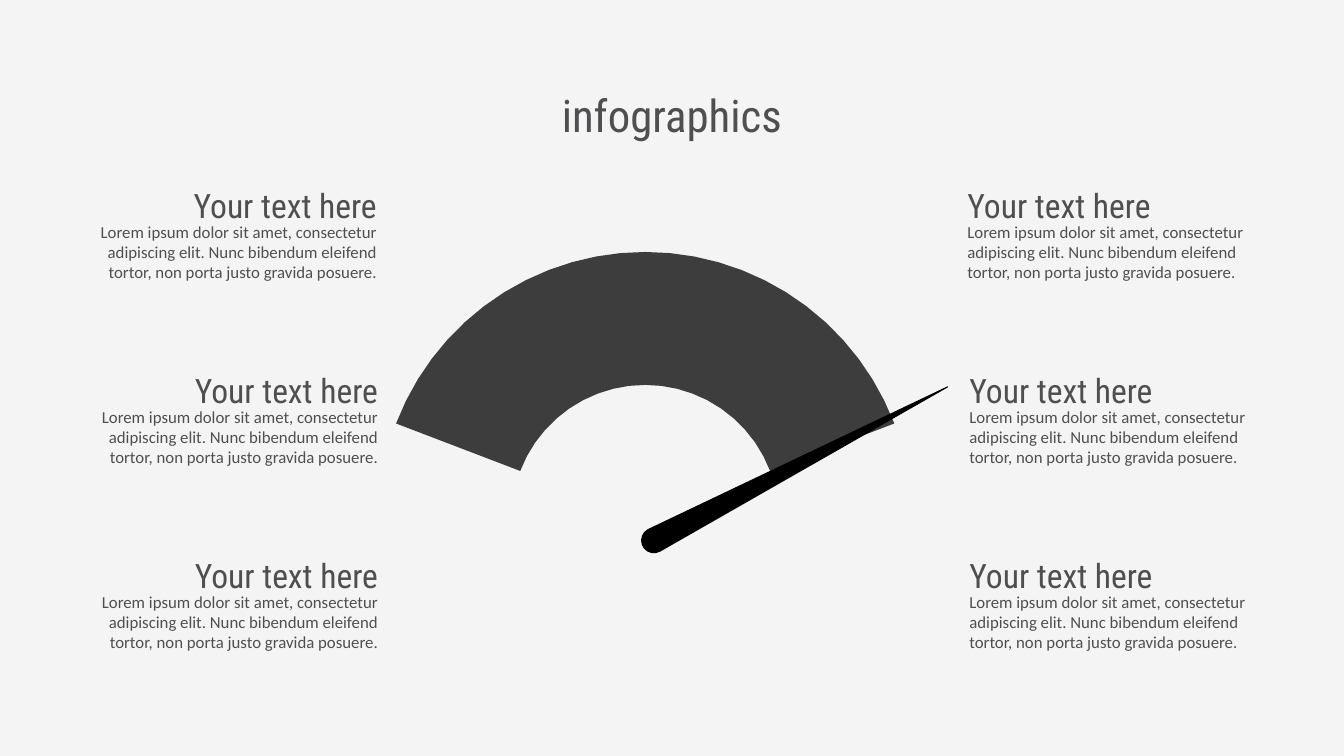
"""Build a gauge infographic slide with three text blocks on each side."""
import math
from dataclasses import dataclass

from pptx import Presentation
from pptx import util as u
from pptx.dml.color import RGBColor
from pptx.enum import text

INK = "4F4F52"
HEADING = "Your text here"
BODY = (
    "Lorem ipsum dolor sit amet, consectetur adipiscing elit. "
    "Nunc bibendum eleifend tortor, non porta justo gravida posuere."
)
FIRST_ROW_TOP = 4.53
ROW_PITCH = 4.66
BODY_DROP = 0.93
BLOCK_WIDTH = 8.15

Point = tuple[float, float]


@dataclass(frozen=True)
class Column:
    """Left edges of a column's rows, in centimetres, and its alignment."""
    lefts: tuple[float, float, float]
    alignment: text.PP_ALIGN


COLUMNS = (
    Column((24.13, 24.18, 24.18), text.PP_ALIGN.LEFT),
    Column((1.6, 1.63, 1.63), text.PP_ALIGN.RIGHT),
)


def colour(value: str) -> RGBColor:
    """Turn a hex string into a colour."""
    return RGBColor.from_string(value)


def place(shape, left: float, top: float, width: float, height: float) -> None:
    """Position and size a shape in centimetres."""
    shape.left, shape.top = u.Cm(left), u.Cm(top)
    shape.width, shape.height = u.Cm(width), u.Cm(height)


def write(shape, content: str, *, size: float, font: str,
          alignment: text.PP_ALIGN) -> None:
    """Fill a shape with one formatted paragraph."""
    frame = shape.text_frame
    frame.word_wrap = True
    frame.auto_size = text.MSO_AUTO_SIZE.SHAPE_TO_FIT_TEXT
    frame.vertical_anchor = text.MSO_ANCHOR.TOP
    paragraph = frame.paragraphs[0]
    paragraph.alignment = alignment
    run = paragraph.add_run()
    run.text = content
    run.font.size = u.Pt(size)
    run.font.name = font
    run.font.color.rgb = colour(INK)


def add_text(slide, content: str, left: float, top: float, height: float,
             **text_format) -> None:
    """Add a text box of the common block width."""
    box = slide.shapes.add_textbox(0, 0, 0, 0)
    place(box, left, top, BLOCK_WIDTH, height)
    write(box, content, **text_format)


def arc(centre: Point, radius: float, start: float, end: float,
        steps: int) -> list[Point]:
    """List points on an arc between two clockwise bearings in degrees."""
    bearings = (math.radians(start + (end - start) * step / steps)
                for step in range(steps + 1))
    return [(centre[0] + radius * math.sin(bearing),
             centre[1] - radius * math.cos(bearing)) for bearing in bearings]


def add_outline(slide, points: list[Point], fill: str):
    """Add a closed, filled freeform through points in centimetres."""
    corners = [(u.Cm(x), u.Cm(y)) for x, y in points]
    builder = slide.shapes.build_freeform(*corners[0], scale=1.0)
    builder.add_line_segments(corners[1:], close=True)
    shape = builder.convert_to_shape()
    shape.shadow.inherit = False
    shape.fill.solid()
    shape.fill.fore_color.rgb = colour(fill)
    shape.line.fill.background()
    return shape


def add_gauge(slide) -> None:
    """Draw the dial and its needle."""
    centre = (16.26, 13.07)
    dial = (arc(centre, 6.72, -69.1, 69.1, 26)
            + arc(centre, 3.37, 69.1, -69.1, 20))
    add_outline(slide, dial, "3D3D3D")
    needle = [(23.88, 9.75)] + arc((16.48, 13.62), 0.31, 151, 331, 9)
    shape = add_outline(slide, needle, "000000")
    shape.line.color.rgb = colour("000000")
    shape.line.width = u.Pt(0)


def main() -> None:
    """Build and save the slide."""
    presentation = Presentation()
    presentation.slide_width = u.Cm(33.87)
    presentation.slide_height = u.Cm(19.05)
    slide = presentation.slides.add_slide(presentation.slide_layouts[5])
    slide.background.fill.solid()
    slide.background.fill.fore_color.rgb = colour("F4F4F4")

    title = slide.shapes.title
    place(title, 11.46, 2.08, 10.95, 1.62)
    write(title, "infographics", size=32, font="Roboto Condensed",
          alignment=text.PP_ALIGN.CENTER)

    add_gauge(slide)
    for column in COLUMNS:
        for row, left in enumerate(column.lefts):
            top = FIRST_ROW_TOP + row * ROW_PITCH
            add_text(slide, BODY, left, top + BODY_DROP, 1.8, size=12,
                     font="Calibri", alignment=column.alignment)
            add_text(slide, HEADING, left, top, 1.28, size=24,
                     font="Roboto Condensed", alignment=column.alignment)

    presentation.save("out.pptx")


if __name__ == "__main__":
    main()
